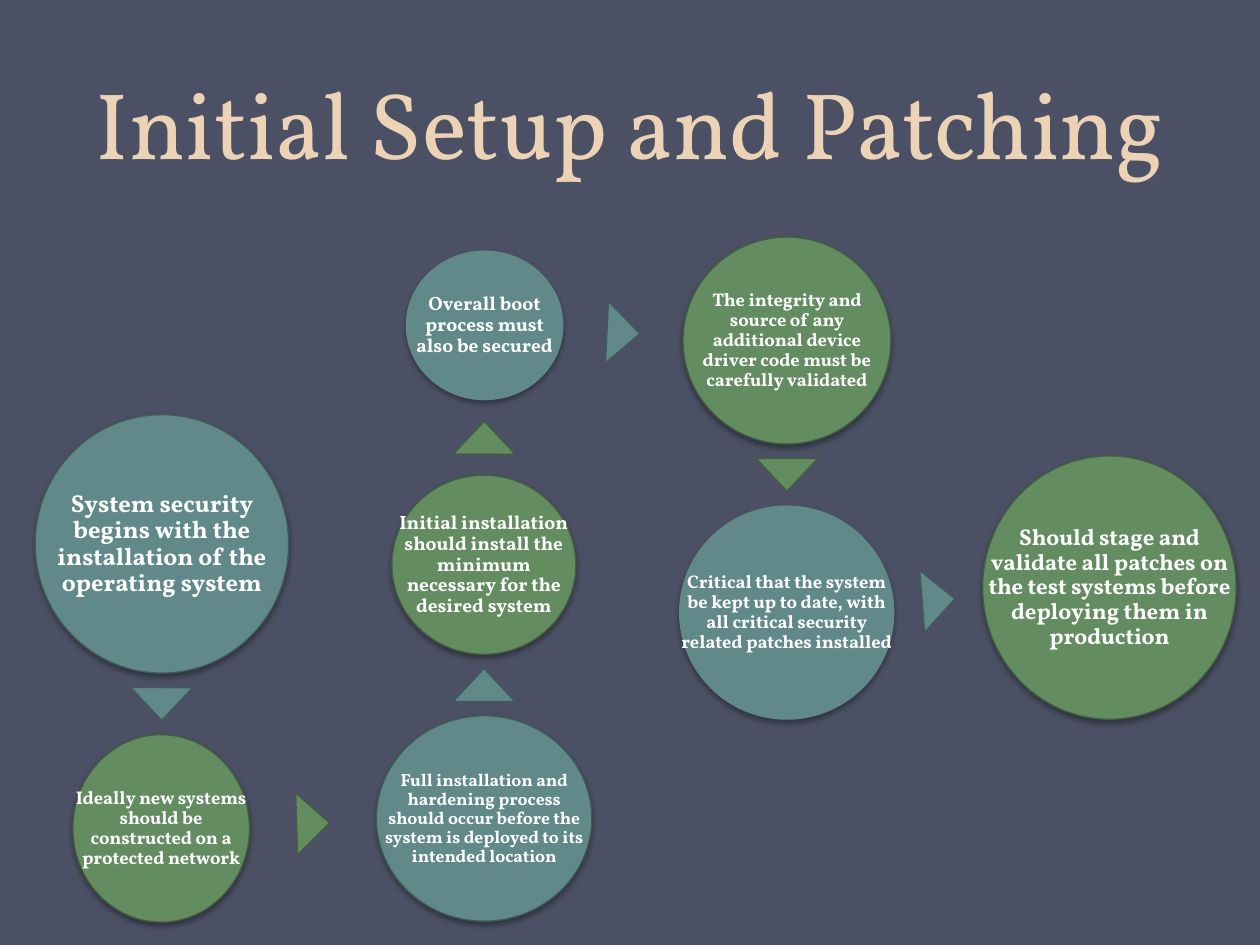
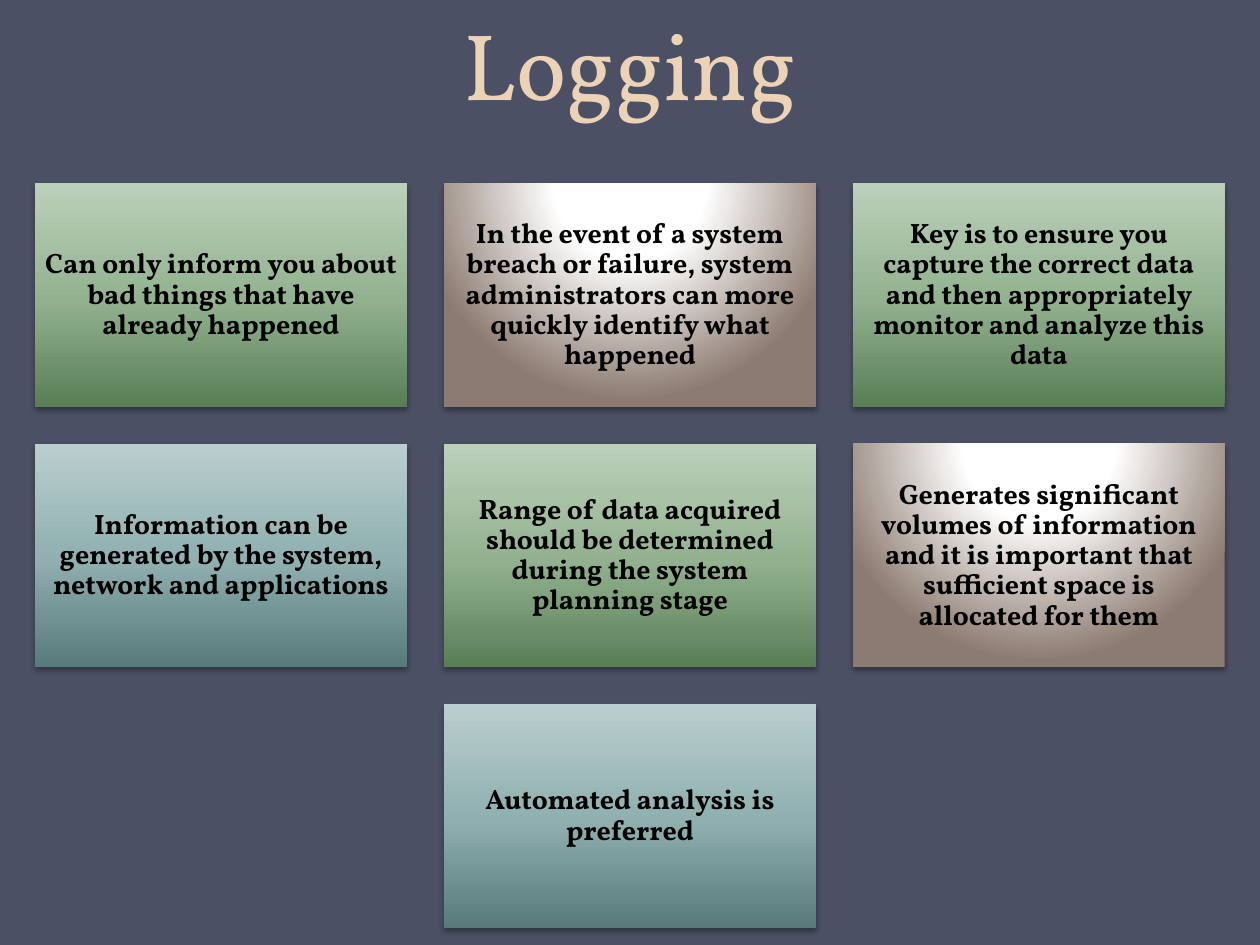
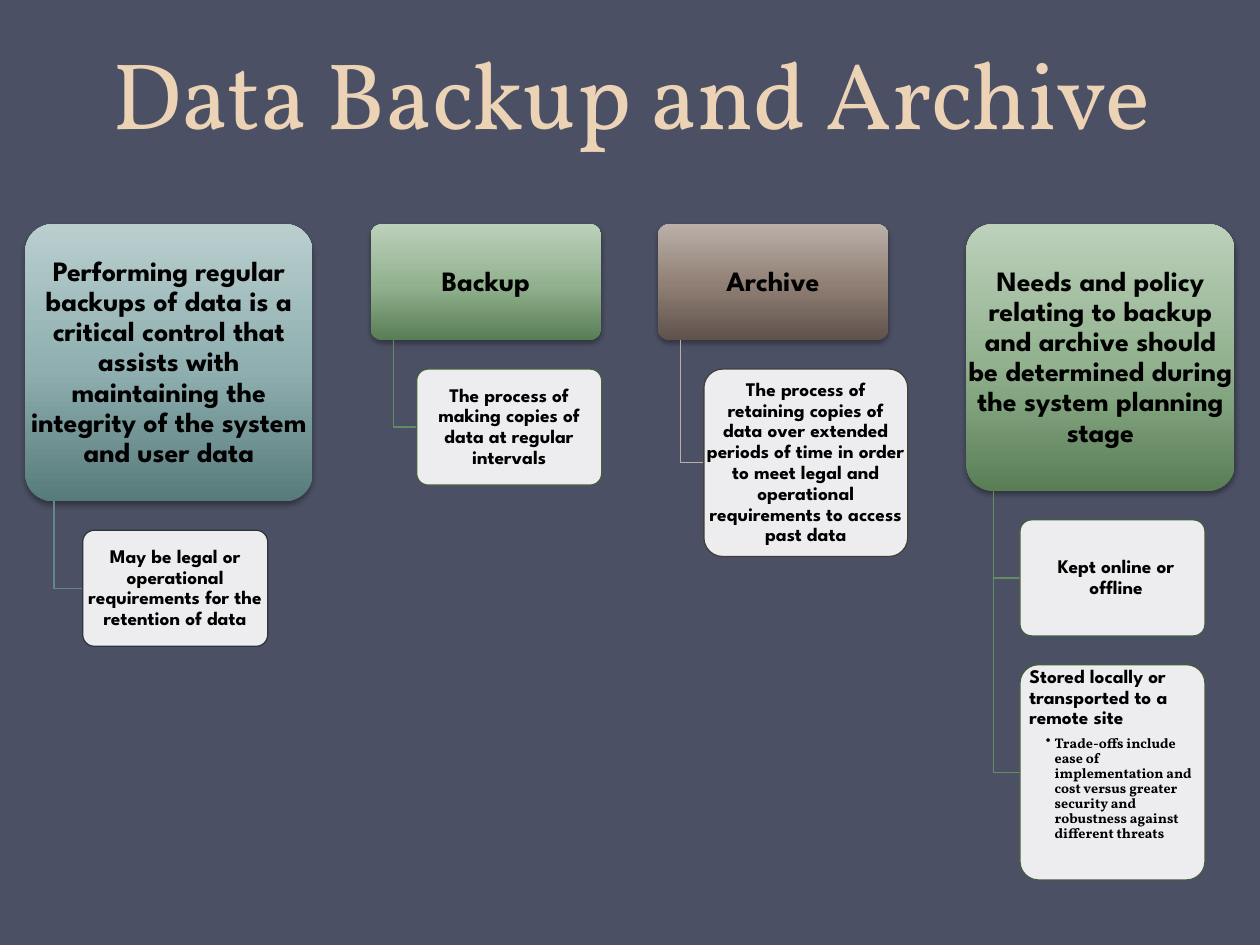
from itertools import pairwise
from math import atan2, degrees

from pptx import Presentation
from pptx.dml.color import RGBColor
from pptx.enum.shapes import MSO_SHAPE
from pptx.enum.text import MSO_ANCHOR, PP_ALIGN
from pptx.oxml import parse_xml
from pptx.oxml.ns import nsdecls, qn
from pptx.util import Cm, Pt

SERIF = "Vollkorn"
SANS = "League Spartan"
COLORS = {
    "background": "4B5064", "title": "EDD3B6", "white": "FFFFFF", "black": "000000",
    "teal": "61898A", "teal line": "415B5C", "green": "648C61", "green line": "435E40",
    "slate line": "2A373D", "brown": "BAB0A9", "brown line": "463E38",
}
UPWARD = '<a:lin ang="16200000" scaled="0"/>'
GLOW = ('<a:path path="circle"><a:fillToRect l="50000" t="-80000" '
        'r="50000" b="180000"/></a:path>')
GRADIENTS = {
    "teal": ([(0, "577A7B"), (48, "8FAFB0"), (100, "BACECE")], UPWARD),
    "green": ([(0, "597E56"), (48, "92B28F"), (100, "BCD0BA")], UPWARD),
    "brown": ([(0, "5E524B"), (48, "907F74"), (100, "BAB0A9")], UPWARD),
    "glow": ([(0, "FFFFFF"), (35, "FFFFFF"), (100, "8C7B70")], GLOW),
}


def rgb(name):
    return RGBColor.from_string(COLORS[name])


# Shapes: boxes are (left, top, width, height) in centimetres
def add_shape(slide, kind, box, fill=None, gradient=None, line=None, shadow=False):
    shape = slide.shapes.add_shape(kind, *map(Cm, box))
    if gradient:
        set_gradient(shape, *GRADIENTS[gradient])
    else:
        shape.fill.solid()
        shape.fill.fore_color.rgb = rgb(fill)
    set_line(shape, line)
    shape.shadow.inherit = False
    if shadow:
        shape._element.spPr.find(qn("a:effectLst")).append(parse_xml(
            f'<a:outerShdw {nsdecls("a")} blurRad="{Pt(3.1)}" dist="{Pt(1.8)}" '
            'dir="5400000" rotWithShape="0"><a:srgbClr val="000000">'
            '<a:alpha val="35000"/></a:srgbClr></a:outerShdw>'))
    return shape


def set_gradient(shape, stops, direction):
    shape.fill.gradient()
    properties = shape._element.spPr
    stop_xml = "".join(f'<a:gs pos="{position * 1000}"><a:srgbClr val="{color}"/></a:gs>'
                       for position, color in stops)
    properties.replace(properties.find(qn("a:gradFill")), parse_xml(
        f'<a:gradFill {nsdecls("a")} rotWithShape="1"><a:gsLst>{stop_xml}</a:gsLst>'
        f'{direction}</a:gradFill>'))


def set_line(shape, color):
    if color:
        shape.line.color.rgb = rgb(color)
        shape.line.width = Pt(0.75)
    else:
        shape.line.fill.background()


# Text
def prepare_frame(shape, inset, anchor=MSO_ANCHOR.MIDDLE):
    frame = shape.text_frame
    frame.word_wrap = True
    frame.vertical_anchor = anchor
    frame.margin_left = frame.margin_right = Cm(inset)
    frame.margin_top = frame.margin_bottom = Cm(inset)
    return frame


def write(paragraph, text, size, font=SERIF, color="black", bold=True,
          align=PP_ALIGN.CENTER, spacing=0.9):
    paragraph.text = text
    paragraph.alignment = align
    paragraph.line_spacing = spacing
    paragraph.font.name = font
    paragraph.font.size = Pt(size)
    paragraph.font.bold = bold
    paragraph.font.color.rgb = rgb(color)


def set_indent(paragraph, left, first=0):
    properties = paragraph._p.get_or_add_pPr()
    properties.set("marL", str(Cm(left)))
    properties.set("indent", str(Cm(first)))
    return properties


def add_label(slide, box, text, size, inset=0.04, **style):
    frame = prepare_frame(slide.shapes.add_textbox(*map(Cm, box)), inset)
    write(frame.paragraphs[0], text, size, **style)
    return frame


def add_titled_slide(presentation, title, box):
    slide = presentation.slides.add_slide(presentation.slide_layouts[6])
    slide.background.fill.solid()
    slide.background.fill.fore_color.rgb = rgb("background")
    frame = add_label(slide, box, title, 54, inset=0.13, color="title", bold=False,
                      spacing=Pt(58))
    frame.vertical_anchor = MSO_ANCHOR.BOTTOM
    return slide


# Flow of circles
def add_circle(slide, box, color, outlined, size, text):
    add_shape(slide, MSO_SHAPE.OVAL, box, fill=color, shadow=True,
              line=f"{color} line" if outlined else None)
    add_label(slide, box, text, size, inset=0.03, color="white")


def gap_middle(start, length, next_start, next_length):
    if next_start > start:
        return (start + length + next_start) / 2
    return (next_start + next_length + start) / 2


def add_flow_arrow(slide, source, target, color):
    """Place a triangle in the gap between two circles, pointing to the target."""
    (x, y, width, height), (next_x, next_y, next_width, next_height) = source, target
    center_x, center_y = x + width / 2, y + height / 2
    next_center_x, next_center_y = next_x + next_width / 2, next_y + next_height / 2
    delta_x, delta_y = next_center_x - center_x, next_center_y - center_y
    middle_x, middle_y = (center_x + next_center_x) / 2, (center_y + next_center_y) / 2
    if abs(delta_x) > abs(delta_y):
        middle_x = gap_middle(x, width, next_x, next_width)
    else:
        middle_y = gap_middle(y, height, next_y, next_height)
    base, depth = 1.24, 0.66
    arrow = add_shape(slide, MSO_SHAPE.ISOSCELES_TRIANGLE,
                      (middle_x - base / 2, middle_y - depth / 2, base, depth),
                      fill=color, line=f"{color} line")
    arrow.rotation = degrees(atan2(delta_y, delta_x)) + 90


def build_patching(presentation):
    slide = add_titled_slide(presentation, "Initial Setup and Patching",
                             (1.27, 0, 22.86, 3.73))
    steps = [
        ((0.71, 8.36, 5.11, 5.21), "teal", True, 14,
         "System security begins with the installation of the operating system"),
        ((1.47, 14.81, 3.56, 3.78), "green", True, 10.5,
         "Ideally new systems should be constructed on a protected network"),
        ((7.59, 14.43, 4.34, 4.14), "teal", True, 10,
         "Full installation and hardening process should occur before the system is "
         "deployed to its intended location"),
        ((7.9, 9.58, 3.71, 3.61), "green", True, 11,
         "Initial installation should install the minimum necessary for the desired system"),
        ((8.18, 5.05, 3.18, 3.02), "teal", False, 11,
         "Overall boot process must also be secured"),
        ((13.77, 4.78, 4.19, 4.17), "green", True, 10.5,
         "The integrity and source of any additional device driver code must be "
         "carefully validated"),
        ((13.69, 10.19, 4.34, 4.32), "teal", False, 10.5,
         "Critical that the system be kept up to date, with all critical security "
         "related patches installed"),
        ((19.81, 9.19, 5.11, 5.31), "green", True, 13,
         "Should stage and validate all patches on the test systems before deploying "
         "them in production"),
    ]
    for step in steps:
        add_circle(slide, *step)
    for step, next_step in pairwise(steps):
        add_flow_arrow(slide, step[0], next_step[0], step[1])


# Grid of cards, with short rows centred
def add_card_grid(slide, box, rows, gap=0.75):
    left, top, width, height = box
    columns = max(map(len, rows))
    card_width = (width - gap * (columns - 1)) / columns
    card_height = (height - gap * (len(rows) - 1)) / len(rows)
    for row_index, row in enumerate(rows):
        row_left = left + (columns - len(row)) * (card_width + gap) / 2
        for column_index, (gradient, text) in enumerate(row):
            card_box = (row_left + column_index * (card_width + gap),
                        top + row_index * (card_height + gap), card_width, card_height)
            card = add_shape(slide, MSO_SHAPE.RECTANGLE, card_box, gradient=gradient,
                             shadow=True)
            write(prepare_frame(card, 0.18).paragraphs[0], text, 16)


def build_logging(presentation):
    slide = add_titled_slide(presentation, "Logging", (0, 0.53, 25.4, 2.01))
    add_card_grid(slide, (0.71, 3.7, 23.98, 15), [
        [("green", "Can only inform you about bad things that have already happened"),
         ("glow", "In the event of a system breach or failure, system administrators "
                  "can more quickly identify what happened"),
         ("green", "Key is to ensure you capture the correct data and then "
                   "appropriately monitor and analyze this data")],
        [("teal", "Information can be generated by the system, network and applications"),
         ("green", "Range of data acquired should be determined during the system "
                   "planning stage"),
         ("glow", "Generates significant volumes of information and it is important "
                  "that sufficient space is allocated for them")],
        [("teal", "Automated analysis is preferred")],
    ])


# Branches: a heading with its details hanging below
def add_rounded(slide, box, **style):
    shape = add_shape(slide, MSO_SHAPE.ROUNDED_RECTANGLE, box, **style)
    shape.adjustments[0] = 0.1
    return shape


def add_elbow(slide, trunk_x, top, end_x, end_y, color):
    builder = slide.shapes.build_freeform(Cm(trunk_x), Cm(top))
    builder.add_line_segments([(Cm(trunk_x), Cm(end_y)), (Cm(end_x), Cm(end_y))],
                              close=False)
    elbow = builder.convert_to_shape()
    elbow.fill.background()
    set_line(elbow, color)
    elbow.shadow.inherit = False


def add_branch(slide, box, color, outline, heading, details):
    """Draw the heading in the box and return the text frames of its details."""
    left, top, width, height = box
    add_rounded(slide, box, gradient=color, shadow=True)
    add_label(slide, box, heading, 16, font=SANS)
    bottom, gap = top + height, 0.58
    detail_left, detail_top = left + width * 0.2, bottom + gap
    frames = []
    for detail_width, detail_height, text in details:
        add_elbow(slide, left + width * 0.1, bottom, detail_left,
                  detail_top + detail_height / 2, color)
        detail_box = (detail_left, detail_top, detail_width, detail_height)
        detail = add_rounded(slide, detail_box, fill="white", line=outline)
        detail._element.spPr.find(f"{qn('a:solidFill')}/{qn('a:srgbClr')}").append(
            parse_xml(f'<a:alpha {nsdecls("a")} val="90000"/>'))
        frames.append(add_label(slide, detail_box, text, 11, font=SANS))
        detail_top += detail_height + gap
    return frames


def add_trade_offs(frame):
    frame.vertical_anchor = MSO_ANCHOR.TOP
    first = frame.paragraphs[0]
    first.alignment = PP_ALIGN.LEFT
    first.space_after = Pt(4)
    bullet = frame.add_paragraph()
    bullet.level = 1
    set_indent(bullet, 0.66, -0.18).append(
        parse_xml(f'<a:buChar {nsdecls("a")} char="•"/>'))
    write(bullet, "Trade-offs include ease of implementation and cost versus greater "
                  "security and robustness against different threats", 8,
          align=PP_ALIGN.LEFT)


def build_backup(presentation):
    slide = add_titled_slide(presentation, "Data Backup and Archive",
                             (1.3, -0.69, 22.86, 3.81))
    top, small_width, small_height = 4.52, 3.73, 2.34
    add_branch(slide, (0.51, top, 5.79, 5.59), "teal", "slate line",
               "Performing regular backups of data is a critical control that assists "
               "with maintaining the integrity of the system and user data",
               [(small_width, small_height,
                 "May be legal or operational requirements for the retention of data")])
    add_branch(slide, (7.47, top, 4.65, small_height), "green", "green line", "Backup",
               [(small_width, small_height,
                 "The process of making copies of data at regular intervals")])
    add_branch(slide, (13.26, top, 4.65, small_height), "brown", "brown line", "Archive",
               [(4.11, 3.78,
                 "The process of retaining copies of data over extended periods of time "
                 "in order to meet legal and operational requirements to access past data")])
    access, storage = add_branch(
        slide, (19.48, top, 5.41, 5.38), "green", "green line",
        "Needs and policy relating to backup and archive should be determined during "
        "the system planning stage",
        [(small_width, small_height, "Kept online or offline"),
         (small_width, 4.34, "Stored locally or transported to a remote site")])
    for frame in (access, storage):
        set_indent(frame.paragraphs[0], 0.15)
    add_trade_offs(storage)


def main():
    presentation = Presentation()
    presentation.slide_width, presentation.slide_height = Cm(25.4), Cm(19.05)
    build_patching(presentation)
    build_logging(presentation)
    build_backup(presentation)
    presentation.save("out.pptx")


if __name__ == "__main__":
    main()
